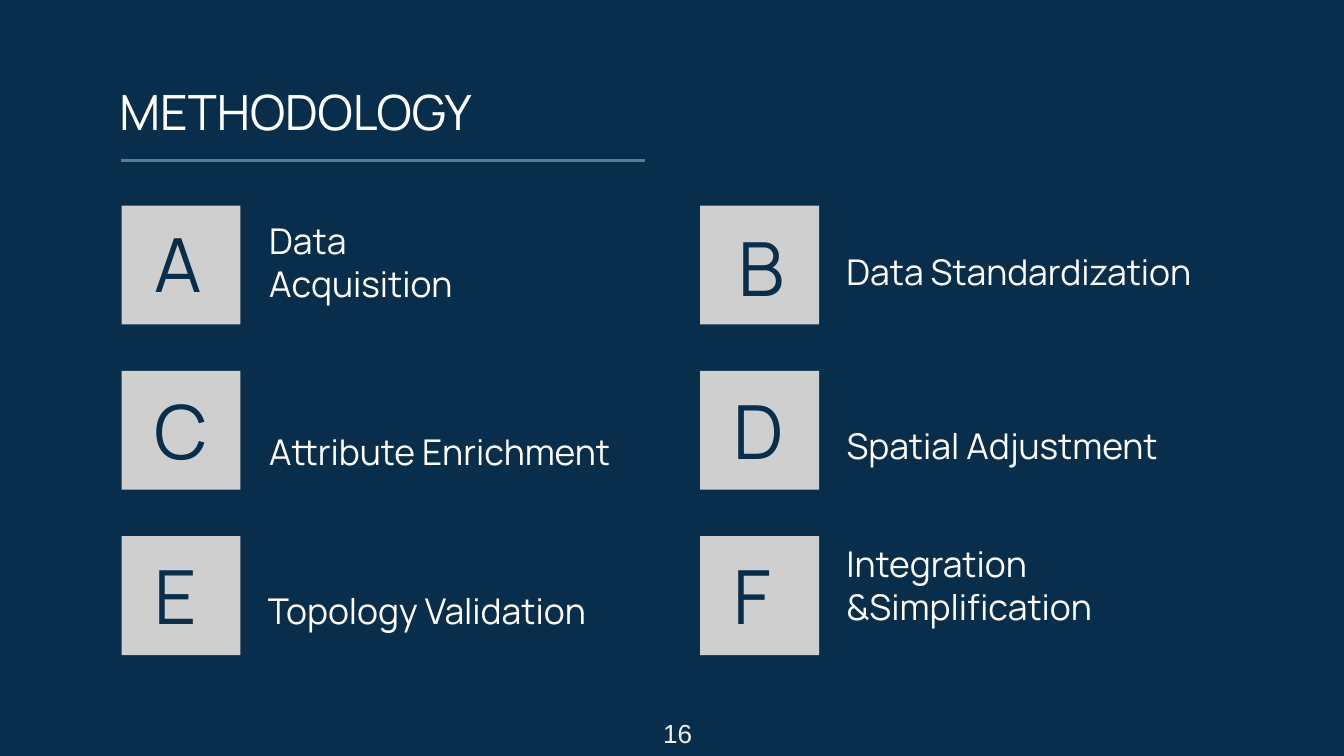
from dataclasses import dataclass

from lxml.etree import SubElement
from pptx import Presentation
from pptx.dml.color import RGBColor
from pptx.enum.shapes import MSO_CONNECTOR as Connector, MSO_SHAPE as Preset
from pptx.enum.text import MSO_ANCHOR as Anchor
from pptx.oxml.ns import qn
from pptx.util import Emu, Pt

PX = 4572  # 200 px to the inch


@dataclass(frozen=True)
class Theme:
    navy: str = "092E4B"
    white: str = "FFFFFF"
    tile: str = "CFCFCF"
    rule: str = "577D90"
    page: str = "F2F2F2"
    font: str = "Manrope"
    page_font: str = "Arial"
    title_size: int = 26
    label_size: int = 19
    letter_size: int = 40
    page_size: int = 14


def px(*values):
    return [Emu(value * PX) for value in values]


class SlideBuilder:
    def __init__(self, slide, theme):
        self.slide = slide
        self.theme = theme

    def background(self):
        fill = self.slide.background.fill
        fill.solid()
        fill.fore_color.rgb = RGBColor.from_string(self.theme.navy)

    def square(self, left, top, side):
        shape = self.slide.shapes.add_shape(Preset.RECTANGLE, *px(left, top, side, side))
        shape.shadow.inherit = False
        shape.fill.solid()
        shape.fill.fore_color.rgb = RGBColor.from_string(self.theme.tile)
        shape.line.fill.background()

    def rule(self, left, right, y):
        line = self.slide.shapes.add_connector(Connector.STRAIGHT, *px(left, y, right, y))
        line.line.color.rgb = RGBColor.from_string(self.theme.rule)
        line.line.width = Pt(1.5)
        SubElement(line._element.spPr, qn("a:effectLst"))

    def text(self, box, content, size, color, font=None, anchor=Anchor.TOP, inset_y=20):
        frame = self.slide.shapes.add_textbox(*px(*box)).text_frame
        frame.word_wrap = True
        frame.vertical_anchor = anchor
        frame.margin_left, frame.margin_right = px(20, 20)
        frame.margin_top, frame.margin_bottom = px(inset_y, inset_y)
        run = frame.paragraphs[0].add_run()
        run.text = content
        run.font.size = Pt(size)
        run.font.name = font or self.theme.font
        run.font.color.rgb = RGBColor.from_string(color)


# Grid of tiles, filled row by row
COLUMNS = (181, 1042)
FIRST_ROW, ROW_STEP, TILE = 306, 246, 177

# Letter, letter offset from its tile, label, label box
STEPS = [
    ("A", (29, -2), "Data Acquisition", (381, 373, 380, 100)),
    ("B", (38, 4), "Data Standardization", (1240, 318, 580, 138)),
    ("C", (29, 1), "Attribute Enrichment", (381, 582, 580, 142)),
    ("D", (30, 1), "Spatial Adjustment", (1240, 615, 510, 100)),
    ("E", (29, 0), "Topology Validation", (379, 860, 514, 100)),
    ("F", (30, 0), "Integration &Simplification", (1240, 854, 580, 100)),
]


def main():
    presentation = Presentation()
    presentation.slide_width, presentation.slide_height = px(2000, 1125)
    theme = Theme()
    slide = presentation.slides.add_slide(presentation.slide_layouts[6])
    builder = SlideBuilder(slide, theme)
    builder.background()

    # Heading
    builder.text((158, 102, 824, 130), "METHODOLOGY", theme.title_size, theme.white)
    builder.rule(180, 960, 239)

    # Six lettered steps
    for index, (letter, (dx, dy), label, label_box) in enumerate(STEPS):
        row, column = divmod(index, len(COLUMNS))
        left, top = COLUMNS[column], FIRST_ROW + row * ROW_STEP
        builder.square(left, top, TILE)
        builder.text((left + dx, top + dy, 118, 130), letter, theme.letter_size, theme.navy)
        builder.text(label_box, label, theme.label_size, theme.white, anchor=Anchor.BOTTOM)

    # Page number
    builder.text((967, 1058, 98, 68), "16", theme.page_size, theme.page,
                 font=theme.page_font, inset_y=10)

    presentation.save("out.pptx")


if __name__ == "__main__":
    main()
